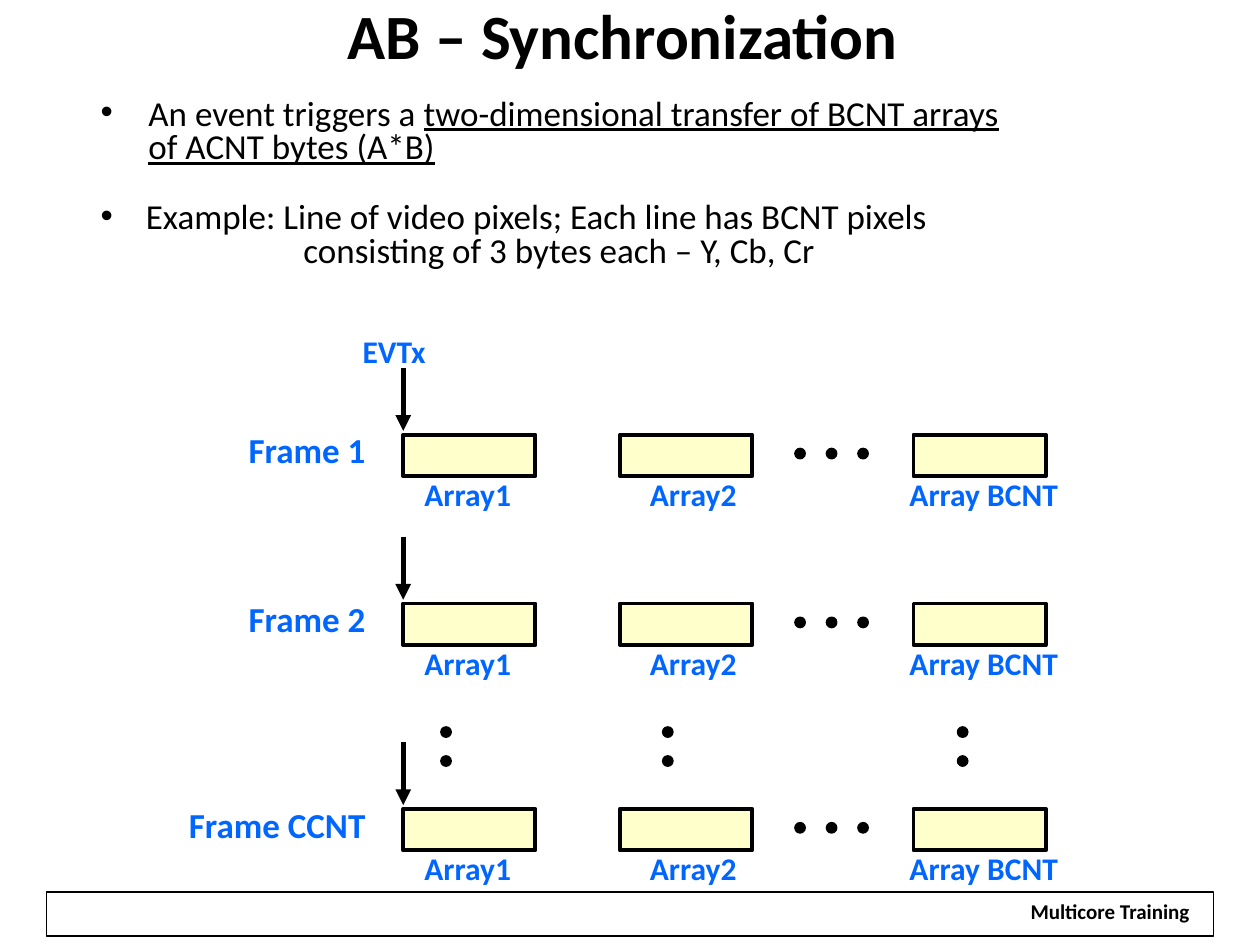
from pptx import Presentation
from pptx.dml.color import RGBColor
from pptx.enum.shapes import MSO_CONNECTOR, MSO_SHAPE
from pptx.enum.text import MSO_ANCHOR, PP_ALIGN
from pptx.oxml.ns import qn
from pptx.util import Inches, Pt
from lxml.etree import SubElement

BLACK = RGBColor(0x00, 0x00, 0x00)
WHITE = RGBColor(0xFF, 0xFF, 0xFF)
BLUE = RGBColor(0x00, 0x66, 0xFF)
CREAM = RGBColor(0xFF, 0xFF, 0xCC)
FONT = "Calibri"
CELL_WIDTH, CELL_HEIGHT, DOT = 1.05, 0.33, 0.08
ARRAYS = [("Array1", 0, 0.07, 0.3), ("Array2", 1.72, 1.86, 2.06), ("Array BCNT", 4.05, 3.92, 4.4)]
FRAMES = [("Frame 1", 3.45), ("Frame 2", 4.79), ("Frame CCNT", 6.42)]


def style_para(para, size, color=BLACK, bold=False, spacing=0.8, align=PP_ALIGN.LEFT):
    """Set the spacing, alignment and font of a paragraph."""
    para.alignment = align
    para.line_spacing = spacing
    para.font.name = FONT
    para.font.size = Pt(size)
    para.font.bold = bold
    para.font.color.rgb = color


def add_text(page, text, left, top, width, height, size, **style):
    """Place a one-paragraph text box."""
    box = page.shapes.add_textbox(Inches(left), Inches(top), Inches(width), Inches(height))
    frame = box.text_frame
    frame.word_wrap = True
    frame.text = text
    style_para(frame.paragraphs[0], size, **style)
    return box


def add_block(page, kind, left, top, width, height, fill, line_width):
    """Place a preset shape with a black outline."""
    block = page.shapes.add_shape(kind, Inches(left), Inches(top), Inches(width), Inches(height))
    block.shadow.inherit = False
    if fill is None:
        block.fill.background()
    else:
        block.fill.solid()
        block.fill.fore_color.rgb = fill
    block.line.color.rgb = BLACK
    block.line.width = Pt(line_width)
    return block


def add_dots(page, left, top, count, step_x=0, step_y=0):
    """Place a run of ellipsis dots."""
    for index in range(count):
        add_block(page, MSO_SHAPE.OVAL, left + index * step_x, top + index * step_y,
                  DOT, DOT, BLACK, 1)


def add_arrow(page, x, top, bottom):
    """Draw a downward event arrow."""
    arrow = page.shapes.add_connector(MSO_CONNECTOR.STRAIGHT, Inches(x), Inches(top),
                                      Inches(x), Inches(bottom))
    arrow.line.color.rgb = BLACK
    arrow.line.width = Pt(3)
    SubElement(arrow.line._get_or_add_ln(), qn("a:tailEnd"), type="triangle")
    SubElement(arrow._element.spPr, qn("a:effectLst"))


def indent_para(para, margin, hanging=0):
    """Indent a paragraph, with a bullet when it hangs."""
    properties = para._p.get_or_add_pPr()
    properties.set("marL", str(Inches(margin)))
    properties.set("indent", str(-Inches(hanging)))
    if hanging:
        color = SubElement(properties, qn("a:buClr"))
        SubElement(color, qn("a:srgbClr"), val=str(BLACK))
        SubElement(properties, qn("a:buFont"), typeface="Arial")
        SubElement(properties, qn("a:buChar"), char="•")


def add_bullets(page, left, top, width):
    """Place the two explanatory bullets."""
    event = page.shapes.add_textbox(Inches(left), Inches(top), Inches(width), Inches(0.65))
    event.text_frame.word_wrap = True
    event.text_frame.vertical_anchor = MSO_ANCHOR.MIDDLE
    para = event.text_frame.paragraphs[0]
    indent_para(para, 0.38, 0.38)
    para.add_run().text = "An event triggers a "
    first = para.add_run()
    first.text = "two-dimensional transfer of BCNT arrays"
    para.add_line_break()
    second = para.add_run()
    second.text = "of ACNT bytes (A*B)"
    for span in (first, second):
        span.font.underline = True
    style_para(para, 20)

    example = page.shapes.add_textbox(Inches(left), Inches(top + 0.83), Inches(width), Inches(0.65))
    example.text_frame.word_wrap = True
    example.text_frame.text = ("Example: Line of video pixels; Each line has BCNT pixels\n"
                               "consisting of 3 bytes each – Y, Cb, Cr")
    for para, margin, hanging in zip(example.text_frame.paragraphs, (0.36, 1.61), (0.36, 0)):
        indent_para(para, margin, hanging)
        style_para(para, 20)


def add_frame_row(page, name, left, top):
    """Place a frame with its event arrow, arrays and labels."""
    add_text(page, name, left - 1.83, top - 0.03, 1.63, 0.37, 20,
             color=BLUE, bold=True, align=PP_ALIGN.RIGHT)
    add_arrow(page, left, top - 0.53, top - 0.03)
    for label, cell_x, label_x, _ in ARRAYS:
        add_block(page, MSO_SHAPE.RECTANGLE, left + cell_x, top, CELL_WIDTH, CELL_HEIGHT, CREAM, 2.25)
        add_text(page, label, left + label_x, top + CELL_HEIGHT, 1.5, 0.34, 18,
                 color=BLUE, bold=True)
    add_dots(page, left + 3.11, top + 0.11, 3, step_x=0.25)


def add_diagram(page, left):
    """Place all frames and the dots between them."""
    add_text(page, "EVTx", left - 0.42, 2.64, 0.8, 0.34, 18, color=BLUE, bold=True)
    for name, top in FRAMES:
        add_frame_row(page, name, left, top)
    for *_, dot_x in ARRAYS:
        add_dots(page, left + dot_x, 5.77, 2, step_y=0.23)


def add_title(page, left, top, width, height):
    """Place the slide title."""
    title = add_text(page, "AB – Synchronization ", left, top, width, height, 36,
                     bold=True, spacing=0.75, align=PP_ALIGN.CENTER)
    title.text_frame.margin_left = title.text_frame.margin_right = Inches(0.05)


def add_footer(page, left, top, width, height):
    """Place the outlined footer bar and its caption."""
    add_block(page, MSO_SHAPE.RECTANGLE, left, top, width, height, None, 0.75)
    caption = add_text(page, "Multicore Training", left + width - 1.61, top + 0.04, 1.58, 0.26, 12,
                       bold=True, align=PP_ALIGN.CENTER)
    caption.fill.solid()
    caption.fill.fore_color.rgb = WHITE


def main():
    """Build and save the slide."""
    deck = Presentation()
    deck.slide_width, deck.slide_height = Inches(10), Inches(7.5)
    page = deck.slides.add_slide(deck.slide_layouts[6])
    add_footer(page, 0.37, 7.08, 9.26, 0.35)
    add_title(page, 0, 0.06, 10, 0.67)
    add_bullets(page, 0.7, 0.73, 7.6)
    add_diagram(page, 3.2)
    deck.save("out.pptx")


if __name__ == "__main__":
    main()
